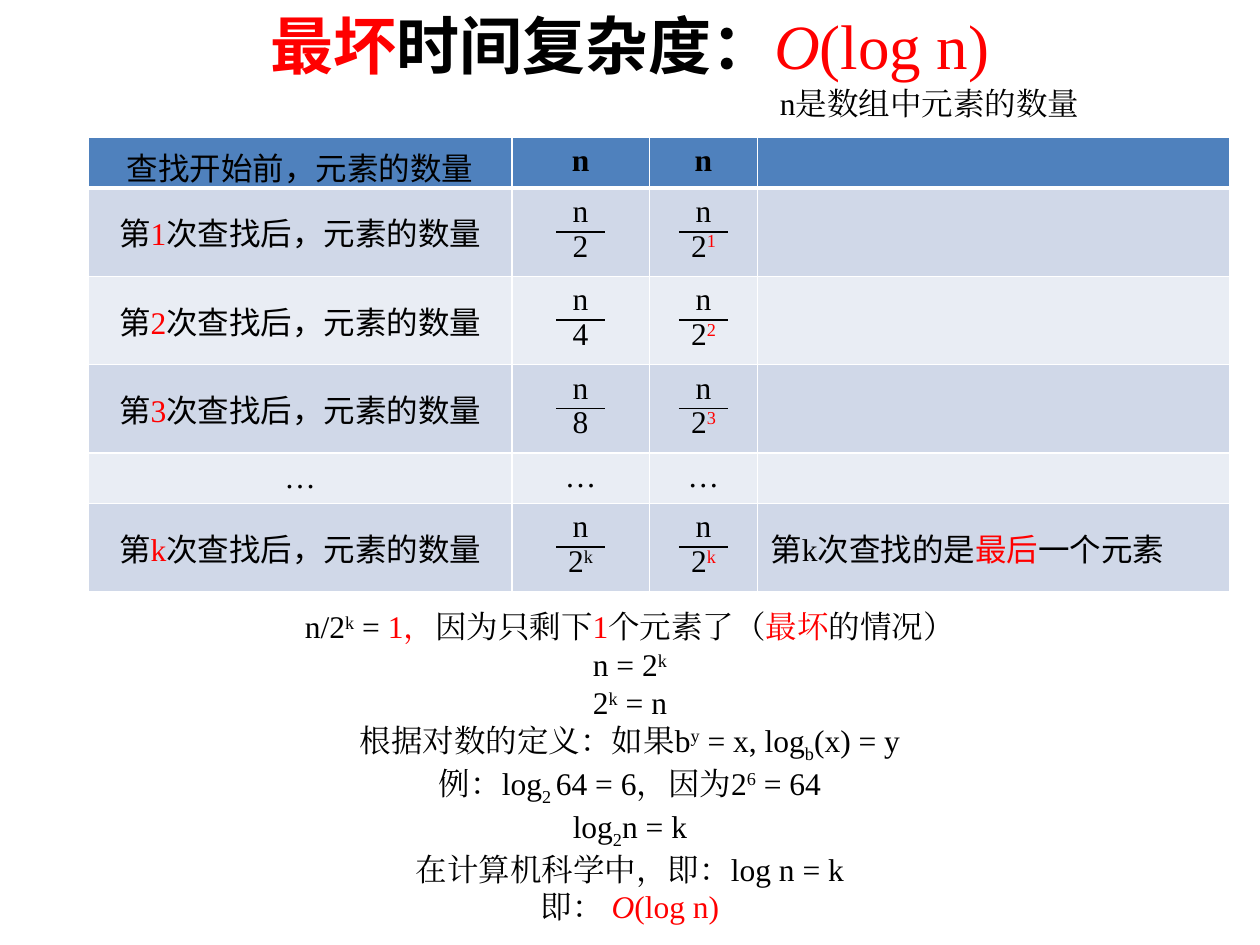
from itertools import accumulate

from lxml import etree
from pptx import Presentation
from pptx.dml.color import RGBColor
from pptx.enum.shapes import MSO_CONNECTOR
from pptx.enum.text import MSO_ANCHOR, PP_ALIGN
from pptx.oxml.ns import qn
from pptx.util import Pt

COLORS = {
    "black": "000000", "red": "FF0000", "white": "FFFFFF",
    "header": "4F81BD", "odd": "D0D8E8", "even": "E9EDF4",
}
SERIF = "Times New Roman"
SANS = "Noto Sans CJK SC"
COLUMNS = [242, 78.5, 62, 270]
ROWS = [29, 50.4, 50.4, 50.4, 28.8, 50]


def color(name):
    return RGBColor.from_string(COLORS[name])


def span(text, **style):
    return text, style


def red(text, **style):
    return span(text, color="red", **style)


def sup(text, **style):
    return span(text, base=30, **style)


def sub(text):
    return span(text, base=-25)


def add_span(para, text, size=18, font=SERIF, asian=SERIF, color_name="black",
             bold=False, italic=False, base=0):
    run = para.add_run()
    run.text = text
    run.font.size = Pt(size)
    run.font.name = font
    run.font.bold = bold
    run.font.italic = italic
    run.font.color.rgb = color(color_name)
    properties = run.font._element
    etree.SubElement(properties, qn("a:ea")).set("typeface", asian)
    if base:
        properties.set("baseline", str(base * 1000))


def write(frame, lines, align=PP_ALIGN.CENTER, **common):
    """Each line is a list of plain strings and formatted spans."""
    for number, line in enumerate(lines):
        para = frame.add_paragraph() if number else frame.paragraphs[0]
        para.alignment = align
        for part in line:
            text, style = span(part) if isinstance(part, str) else part
            style = {**common, **style}
            if "color" in style:
                style["color_name"] = style.pop("color")
            add_span(para, text, **style)


def add_text(page, box, lines, **common):
    frame = page.shapes.add_textbox(*map(Pt, box)).text_frame
    frame.word_wrap = True
    write(frame, lines, **common)


def set_borders(cell, bottom):
    properties = cell._tc.get_or_add_tcPr()
    widths = {"a:lnL": 1, "a:lnR": 1, "a:lnT": 1, "a:lnB": bottom}
    for place, (tag, width) in enumerate(widths.items()):
        line = etree.Element(qn(tag), w=str(Pt(width)))
        fill = etree.SubElement(line, qn("a:solidFill"))
        etree.SubElement(fill, qn("a:srgbClr"), val=COLORS["white"])
        properties.insert(place, line)


def add_rule(page, center, y, width=28):
    rule = page.shapes.add_connector(
        MSO_CONNECTOR.STRAIGHT, Pt(center - width / 2), Pt(y), Pt(center + width / 2), Pt(y))
    rule.line.color.rgb = color("black")
    rule.line.width = Pt(0.75)
    etree.SubElement(rule._element.spPr, qn("a:effectLst"))


def table_rows():
    def step(number, plain, power, note=()):
        label = ["第", red(number), "次查找后，元素的数量"]
        return [[label], [["n"], plain], [["n"], ["2", red(power, base=30)]], list(note)]

    last = ["第k次查找的是", red("最后"), "一个元素"]
    return [
        [[["查找开始前，元素的数量"]], [[span("n", bold=True)]], [[span("n", bold=True)]], []],
        step("1", ["2"], "1"),
        step("2", ["4"], "2"),
        step("3", ["8"], "3"),
        [[["…"]], [["…"]], [["…"]], []],
        step("k", ["2", sup("k")], "k", [last]),
    ]


def add_steps_table(page, box):
    left, top, width, height = box
    table = page.shapes.add_table(len(ROWS), len(COLUMNS), *map(Pt, box)).table
    table.horz_banding = False
    for column, size in zip(table.columns, COLUMNS):
        column.width = Pt(size)
    for row, size in zip(table.rows, ROWS):
        row.height = Pt(size)

    # Cells
    for r, cells in enumerate(table_rows()):
        for c, lines in enumerate(cells):
            cell = table.cell(r, c)
            cell.fill.solid()
            cell.fill.fore_color.rgb = color("header" if r == 0 else "odd" if r % 2 else "even")
            set_borders(cell, 1 if r else 3)
            if r == 0 or not lines:
                cell.margin_bottom = 0
            if not lines:
                cell.margin_top = 0
            if r and c in (0, 3):
                cell.vertical_anchor = MSO_ANCHOR.MIDDLE
            write(cell.text_frame, lines,
                  align=PP_ALIGN.LEFT if c == 3 else PP_ALIGN.CENTER,
                  asian=SERIF if lines == [["…"]] else SANS)

    # Fraction bars
    lefts = list(accumulate(COLUMNS, initial=left))
    tops = list(accumulate(ROWS, initial=top))
    for c in (1, 2):
        for r in (1, 2, 3, 5):
            add_rule(page, lefts[c] + COLUMNS[c] / 2, tops[r] + 25)


def add_heading(page, box):
    add_text(page, box, [[
        red("最坏", font=SANS, bold=True),
        span("时间复杂度：", font=SANS, bold=True),
        red("O", italic=True), red("(log n)"),
    ]], size=36, asian=SANS)


def add_derivation(page, box):
    add_text(page, box, [
        ["n/2", sup("k"), " = ", red("1，"), "因为只剩下", red("1"),
         "个元素了（", red("最坏"), "的情况）"],
        ["n = 2", sup("k")],
        ["2", sup("k"), " = n"],
        ["根据对数的定义：如果b", sup("y"), " = x, log", sub("b"), "(x) = y"],
        ["例：log", sub("2 "), "64 = 6，因为2", sup("6"), " = 64"],
        ["log", sub("2"), "n = k"],
        ["在计算机科学中，即：log n = k"],
        ["即：", red(" O", italic=True), red("(log n)")],
    ])


def main():
    deck = Presentation()
    deck.slide_width, deck.slide_height = Pt(720), Pt(540)
    page = deck.slides.add_slide(deck.slide_layouts[6])
    add_heading(page, (0, 0, 720, 94))
    add_text(page, (438.5, 44.6, 281.5, 29), [["n是数组中元素的数量"]], align=PP_ALIGN.LEFT)
    add_derivation(page, (0, 343.5, 720, 181.5))
    add_steps_table(page, (50.5, 78.5, sum(COLUMNS), sum(ROWS)))
    deck.save("out.pptx")


if __name__ == "__main__":
    main()
